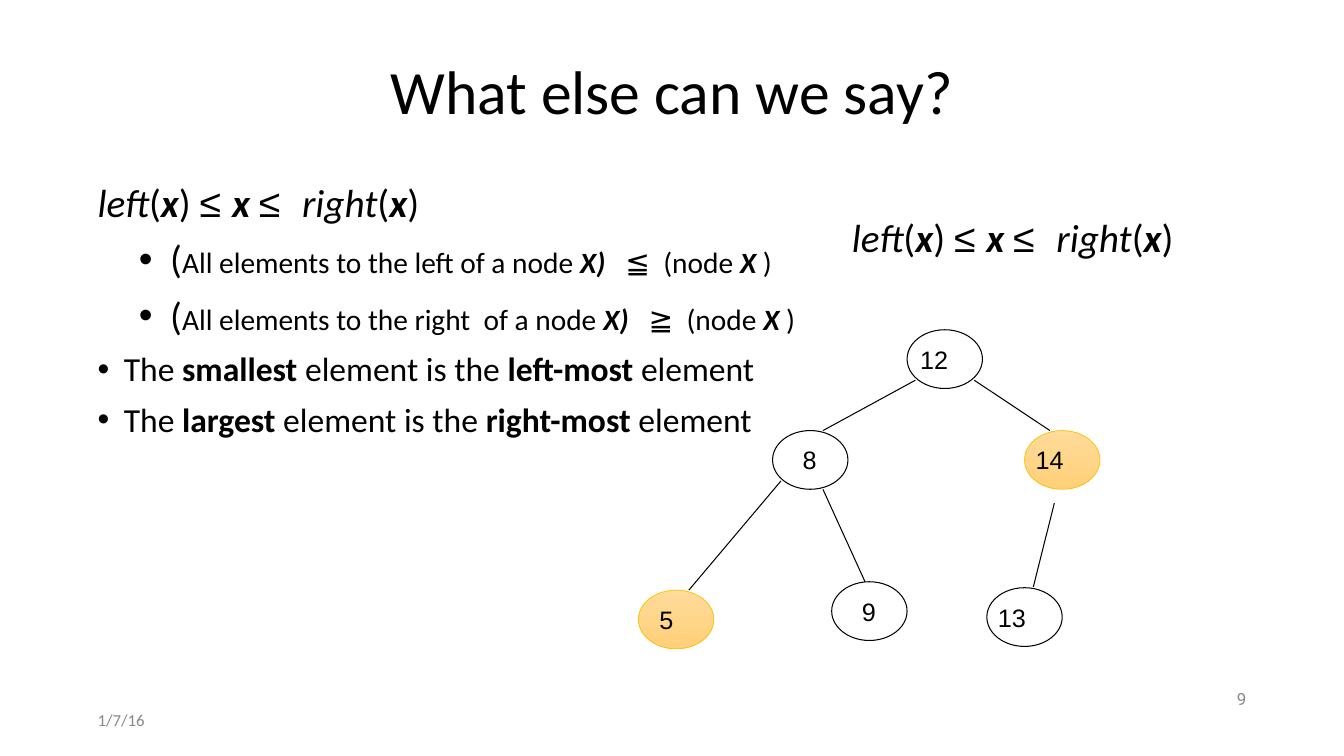
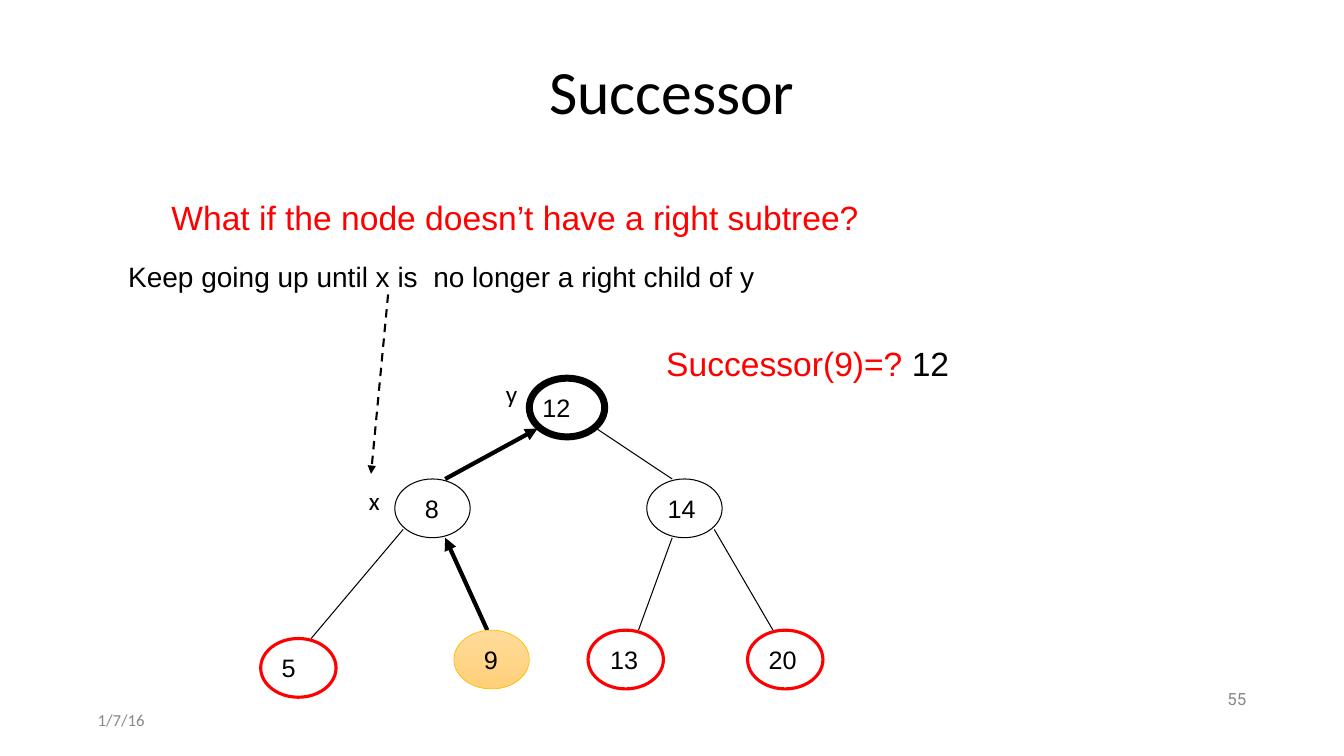
"""Builds two slides on binary search trees: ordering of nodes and the successor."""
from lxml import etree
from pptx import Presentation
from pptx.dml.color import RGBColor
from pptx.enum.dml import MSO_LINE
from pptx.enum.shapes import MSO_CONNECTOR, MSO_SHAPE
from pptx.enum.text import MSO_ANCHOR, PP_ALIGN
from pptx.oxml.ns import qn
from pptx.util import Cm, Pt

BLACK = RGBColor(0x00, 0x00, 0x00)
RED = RGBColor(0xFF, 0x00, 0x00)
GREY = RGBColor(0x88, 0x88, 0x88)
AMBER = RGBColor(0xFF, 0xC0, 0x00)
AMBER_TOP = RGBColor(0xFF, 0xDB, 0x9B)
AMBER_BOTTOM = RGBColor(0xFF, 0xD0, 0x78)

LEFT, CENTER, RIGHT = PP_ALIGN.LEFT, PP_ALIGN.CENTER, PP_ALIGN.RIGHT
TOP, MIDDLE = MSO_ANCHOR.TOP, MSO_ANCHOR.MIDDLE
OVAL, STRAIGHT, DASH = MSO_SHAPE.OVAL, MSO_CONNECTOR.STRAIGHT, MSO_LINE.DASH

CALIBRI, ARIAL, ROBOTO = "Calibri", "Arial", "Roboto"
DATE = "1/7/16"
PAD = 0.13
NODE_W, NODE_H = 1.9, 1.48

PLAIN = {}
BOLD = {"bold": True}
ITALIC = {"italic": True}
STRONG = {"bold": True, "italic": True}
SYMBOL = {"font": ARIAL}
BIG = {"size": 28}

FORMULA = [
    ("left", ITALIC), ("(", PLAIN), ("x", STRONG), (") ", PLAIN),
    ("≤ ", SYMBOL), ("x ", STRONG), ("≤  ", SYMBOL),
    ("right", ITALIC), ("(", PLAIN), ("x", STRONG), (")", PLAIN),
]
SIDES = [("left", "≦"), ("right ", "≧")]
EXTREMES = [("smallest", "left-most"), ("largest", "right-most")]

OUTER, INNER = (0.66, -0.66), (1.83, -0.79)
BODY = [(FORMULA, 28, None)]
BODY += [
    ([("(", BIG), (f"All elements to the {side} of a node ", PLAIN),
      ("X)  ", STRONG), (f" {sign}  (node ", PLAIN), ("X ", STRONG),
      (")", PLAIN)], 21, INNER)
    for side, sign in SIDES
]
BODY += [
    ([("The ", PLAIN), (kind, BOLD), (" element is the ", PLAIN),
      (place, BOLD), (" element", PLAIN)], 24, OUTER)
    for kind, place in EXTREMES
]

SHARED_NODES = {
    "12": (0, 0), "8": (-3.39, 2.54), "14": (2.96, 2.54),
    "5": (-6.77, 6.56), "9": (-1.9, 6.35),
}
SHARED_EDGES = {
    ("5", "8"): (-5.5, 6.56, -3.18, 3.81),
    ("8", "12"): (-2.12, 2.54, 0.21, 1.27),
    ("9", "8"): (-1.06, 6.35, -2.12, 4.02),
    ("12", "14"): (1.69, 1.27, 3.6, 2.54),
}
ORDER_TREE = {
    "root": (22.86, 8.31),
    "nodes": {**SHARED_NODES, "13": (2.01, 6.5)},
    "edges": {**SHARED_EDGES, ("14", "13"): (3.71, 4.37, 3.18, 6.48)},
    "insets": {"12": 0.05, "8": 0.48, "5": 0.25, "9": 0.48},
    "filled": {"5", "14"}, "outlines": {}, "arrows": set(),
}
SUCCESSOR_TREE = {
    "root": (13.34, 9.53),
    "nodes": {**SHARED_NODES, "13": (1.48, 6.35), "20": (5.5, 6.35)},
    "edges": {
        **SHARED_EDGES,
        ("14", "13"): (3.6, 4.02, 2.75, 6.35),
        ("14", "20"): (4.66, 3.81, 6.14, 6.35),
    },
    "insets": {"12": 0.05, "8": 0.48, "5": 0.25, "9": 0.48,
               "14": 0.25, "13": 0.28, "20": 0.25},
    "filled": {"9"},
    "outlines": {"12": (BLACK, 5), "5": (RED, 2.25),
                 "13": (RED, 2.25), "20": (RED, 2.25)},
    "arrows": {("8", "12"), ("9", "8")},
}
SUCCESSOR_TEXTS = [
    ((4.19, 4.83, 19.35, 1.22), 24, ARIAL,
     [("What if the node doesn’t have a right subtree?", {"color": RED})]),
    ((3.1, 6.4, 18.03, 1.04), 20, ARIAL,
     [("Keep going up until x is  no longer a right child of y", PLAIN)]),
    ((16.66, 8.51, 8.03, 1.22), 24, ARIAL,
     [("Successor(9)=? ", {"color": RED}), ("12", PLAIN)]),
    ((9.17, 12.09, 0.6, 1.04), 18, CALIBRI, [("x", PLAIN)]),
    ((12.62, 9.4, 0.6, 1.04), 18, CALIBRI, [("y", PLAIN)]),
]
X_POINTER = (9.78, 7.42, 9.35, 11.94)


def add_runs(p, runs, size, font=CALIBRI, color=BLACK):
    for text, style in runs:
        r = p.add_run()
        r.text = text
        f = r.font
        f.size = Pt(style.get("size", size))
        f.name = style.get("font", font)
        f.color.rgb = style.get("color", color)
        f.bold = style.get("bold", False)
        f.italic = style.get("italic", False)


def set_bullet(p, margin, indent):
    pPr = p._p.get_or_add_pPr()
    pPr.set("marL", str(Cm(margin)))
    pPr.set("indent", str(Cm(indent)))
    etree.SubElement(pPr, qn("a:buFont")).set("typeface", ARIAL)
    etree.SubElement(pPr, qn("a:buChar")).set("char", "•")


def add_text(s, box, paragraphs, font=CALIBRI, color=BLACK, align=LEFT,
             anchor=TOP, spacing=1.0):
    tf = s.shapes.add_textbox(*map(Cm, box)).text_frame
    tf.word_wrap = True
    tf.vertical_anchor = anchor
    tf.margin_left = tf.margin_right = Cm(PAD)
    tf.margin_top = tf.margin_bottom = Cm(PAD)
    for i, (runs, size, bullet) in enumerate(paragraphs):
        p = tf.add_paragraph() if i else tf.paragraphs[0]
        p.alignment = align
        p.line_spacing = spacing
        p.space_before = Pt(10 if i else 0)
        if bullet:
            set_bullet(p, *bullet)
        add_runs(p, runs, size, font, color)


def add_line(s, ends, width=0.75, arrow=False, dash=None):
    sp = s.shapes.add_connector(STRAIGHT, *map(Cm, ends))
    sp.line.color.rgb = BLACK
    sp.line.width = Pt(width)
    if dash:
        sp.line.dash_style = dash
    if arrow:
        ln = sp.line._get_or_add_ln()
        etree.SubElement(ln, qn("a:tailEnd")).set("type", "triangle")
    etree.SubElement(sp._element.spPr, qn("a:effectLst"))


def add_node(s, x, y, label, inset, filled, outline):
    sp = s.shapes.add_shape(OVAL, Cm(x), Cm(y), Cm(NODE_W), Cm(NODE_H))
    sp.shadow.inherit = False
    if filled:
        sp.fill.gradient()
        sp.fill.gradient_angle = 270
        for stop, color in zip(sp.fill.gradient_stops,
                               (AMBER_TOP, AMBER_BOTTOM)):
            stop.color.rgb = color
    else:
        sp.fill.background()
    color, width = outline
    sp.line.color.rgb = color
    sp.line.width = Pt(width)
    tf = sp.text_frame
    tf.word_wrap = True
    tf.vertical_anchor = MIDDLE
    tf.margin_left = Cm(inset)
    tf.margin_right = tf.margin_top = tf.margin_bottom = 0
    p = tf.paragraphs[0]
    p.alignment = LEFT
    add_runs(p, [(label, PLAIN)], 18, ARIAL)


def add_tree(s, tree):
    x0, y0 = tree["root"]
    for edge, (x1, y1, x2, y2) in tree["edges"].items():
        arrow = edge in tree["arrows"]
        add_line(s, (x0 + x1, y0 + y1, x0 + x2, y0 + y2),
                 3 if arrow else 0.75, arrow)
    for label, (x, y) in tree["nodes"].items():
        filled = label in tree["filled"]
        default = (AMBER, 0.5) if filled else (BLACK, 0.75)
        add_node(s, x0 + x, y0 + y, label, tree["insets"].get(label, 0),
                 filled, tree["outlines"].get(label, default))


def add_slide(prs, title, number):
    s = prs.slides.add_slide(prs.slide_layouts[6])
    add_text(s, (2.33, 1.02, 29.21, 2.72), [([(title, PLAIN)], 44, None)],
             align=CENTER, anchor=MIDDLE, spacing=0.9)
    add_text(s, (2.33, 17.78, 7.62, 0.74), [([(DATE, PLAIN)], 12, None)],
             color=GREY, anchor=MIDDLE)
    add_text(s, (23.92, 17.27, 7.62, 0.74), [([(number, PLAIN)], 12, None)],
             ROBOTO, GREY, RIGHT, MIDDLE, 0.9)
    return s


def main():
    prs = Presentation()
    prs.slide_width, prs.slide_height = Cm(33.87), Cm(19.05)

    s = add_slide(prs, "What else can we say?", "9")
    add_text(s, (2.33, 4.5, 29.21, 12.57), BODY, spacing=0.9)
    add_text(s, (21.34, 5.38, 9, 1.52), [(FORMULA, 28, None)], spacing=0.9)
    add_tree(s, ORDER_TREE)

    s = add_slide(prs, "Successor", "55")
    add_tree(s, SUCCESSOR_TREE)
    for box, size, font, runs in SUCCESSOR_TEXTS:
        add_text(s, box, [(runs, size, None)], font)
    add_line(s, X_POINTER, 1.5, True, DASH)

    prs.save("out.pptx")


if __name__ == "__main__":
    main()
